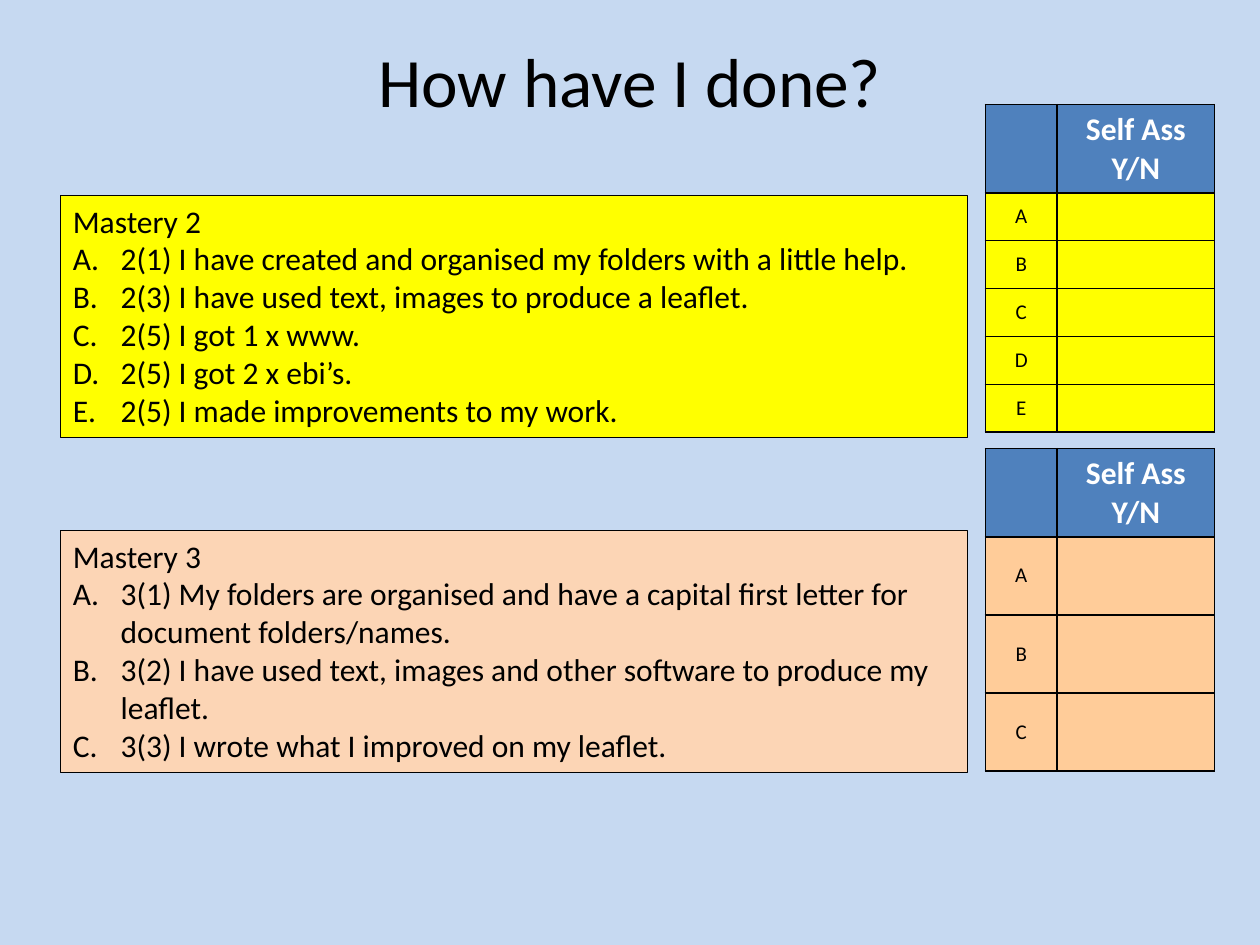
from dataclasses import dataclass

from lxml.etree import SubElement
from pptx import Presentation
from pptx.dml.color import RGBColor
from pptx.enum.shapes import MSO_SHAPE
from pptx.enum.text import MSO_ANCHOR, MSO_AUTO_SIZE, PP_ALIGN
from pptx.oxml.ns import qn
from pptx.util import Inches, Pt

FONT = "Calibri"
BLACK, WHITE, HEADER_BLUE = "000000", "FFFFFF", "4F81BD"
COLUMN_WIDTHS = (0.57, 1.25)


@dataclass
class Mastery:
    """One level: its list of targets and its self-assessment table."""
    heading: str
    targets: tuple
    box_top: float
    box_fill: str
    table_top: float
    table_fill: str
    header_height: float
    row_height: float


MASTERIES = (
    Mastery("Mastery 2", (
        "2(1) I have created and organised my folders with a little help.",
        "2(3) I have used text, images to produce a leaflet.",
        "2(5) I got 1 x www.",
        "2(5) I got 2 x ebi’s.",
        "2(5) I made improvements to my work.",
    ), 1.55, "FFFF00", 0.83, "FFFF00", 0.6, 0.38),
    Mastery("Mastery 3", (
        "3(1) My folders are organised and have a capital first letter for "
        "document folders/names.",
        "3(2) I have used text, images and other software to produce my leaflet.",
        "3(3) I wrote what I improved on my leaflet.",
    ), 4.21, "FCD5B5", 3.56, "FFCC99", 0.57, 0.62),
)


def color(value: str) -> RGBColor:
    """Turn a hex string into a colour."""
    return RGBColor.from_string(value)


def add_text(paragraph, text: str, size: float, hex_color: str = BLACK,
             bold: bool = False, align=PP_ALIGN.LEFT) -> None:
    """Add one formatted run to a paragraph."""
    paragraph.alignment = align
    run = paragraph.add_run()
    run.text = text
    run.font.name = FONT
    run.font.size = Pt(size)
    run.font.bold = bold
    run.font.color.rgb = color(hex_color)


def letter_paragraph(paragraph) -> None:
    """Number a paragraph A., B., C. with a hanging indent."""
    properties = paragraph._p.get_or_add_pPr()
    properties.set("marL", str(Inches(0.38)))
    properties.set("indent", str(-Inches(0.38)))
    SubElement(properties, qn("a:buFont"), typeface="+mj-lt")
    SubElement(properties, qn("a:buAutoNum"), type="alphaUcPeriod")


def add_target_box(slide, mastery: Mastery) -> None:
    """Draw the outlined box with a heading and lettered targets."""
    box = slide.shapes.add_shape(MSO_SHAPE.RECTANGLE, Inches(0.48), Inches(mastery.box_top),
                                 Inches(7.2), Inches(1.92))
    box.shadow.inherit = False
    box.fill.solid()
    box.fill.fore_color.rgb = color(mastery.box_fill)
    box.line.color.rgb = color(BLACK)
    box.line.width = Pt(0.75)
    frame = box.text_frame
    frame.word_wrap = True
    frame.auto_size = MSO_AUTO_SIZE.SHAPE_TO_FIT_TEXT
    frame.vertical_anchor = MSO_ANCHOR.TOP
    add_text(frame.paragraphs[0], mastery.heading, 18)
    for target in mastery.targets:
        paragraph = frame.add_paragraph()
        add_text(paragraph, target, 18)
        letter_paragraph(paragraph)


def style_cell(cell, fill: str) -> None:
    """Give a cell thin black borders and a plain fill."""
    properties = cell._tc.get_or_add_tcPr()
    for side in ("a:lnL", "a:lnR", "a:lnT", "a:lnB"):
        border = SubElement(properties, qn(side), w=str(Pt(1)))
        solid = SubElement(border, qn("a:solidFill"))
        SubElement(solid, qn("a:srgbClr"), val=BLACK)
    cell.fill.solid()
    cell.fill.fore_color.rgb = color(fill)


def add_assessment_table(slide, mastery: Mastery) -> None:
    """Draw the table with one lettered row for each target."""
    count = len(mastery.targets)
    heights = [mastery.header_height] + [mastery.row_height] * count
    table = slide.shapes.add_table(count + 1, 2, Inches(7.82), Inches(mastery.table_top),
                                   Inches(sum(COLUMN_WIDTHS)), Inches(sum(heights))).table
    table.first_row = table.horz_banding = False
    for column, width in zip(table.columns, COLUMN_WIDTHS):
        column.width = Inches(width)
    for index, (row, height) in enumerate(zip(table.rows, heights)):
        row.height = Inches(height)
        for cell in row.cells:
            style_cell(cell, mastery.table_fill if index else HEADER_BLUE)
        if index:
            letter, answer = row.cells
            letter.vertical_anchor = MSO_ANCHOR.MIDDLE
            add_text(letter.text_frame.paragraphs[0], "ABCDE"[index - 1], 12,
                     align=PP_ALIGN.CENTER)
            # A small empty line keeps the row from growing.
            SubElement(answer.text_frame.paragraphs[0]._p, qn("a:endParaRPr"), sz="1200")
    header = table.cell(0, 1).text_frame
    for paragraph, text in ((header.paragraphs[0], "Self Ass"),
                            (header.add_paragraph(), "Y/N")):
        add_text(paragraph, text, 18, WHITE, True, PP_ALIGN.CENTER)


def add_title(slide, text: str) -> None:
    """Place and format the title placeholder."""
    title = slide.shapes.title
    title.left, title.top = Inches(0.5), Inches(0.3)
    title.width, title.height = Inches(9), Inches(1.25)
    frame = title.text_frame
    frame.word_wrap = True
    frame.auto_size = MSO_AUTO_SIZE.NONE
    frame.vertical_anchor = MSO_ANCHOR.TOP
    frame.margin_top = Inches(0)
    add_text(frame.paragraphs[0], text, 39.6, align=PP_ALIGN.CENTER)


def main() -> None:
    """Build and save the slide."""
    presentation = Presentation()
    presentation.slide_width, presentation.slide_height = Inches(10), Inches(7.5)
    slide = presentation.slides.add_slide(presentation.slide_layouts[5])
    slide.background.fill.solid()
    slide.background.fill.fore_color.rgb = color("C6D9F1")
    add_title(slide, "How have I done?")
    for mastery in MASTERIES:
        add_target_box(slide, mastery)
        add_assessment_table(slide, mastery)
    presentation.save("out.pptx")


main()
